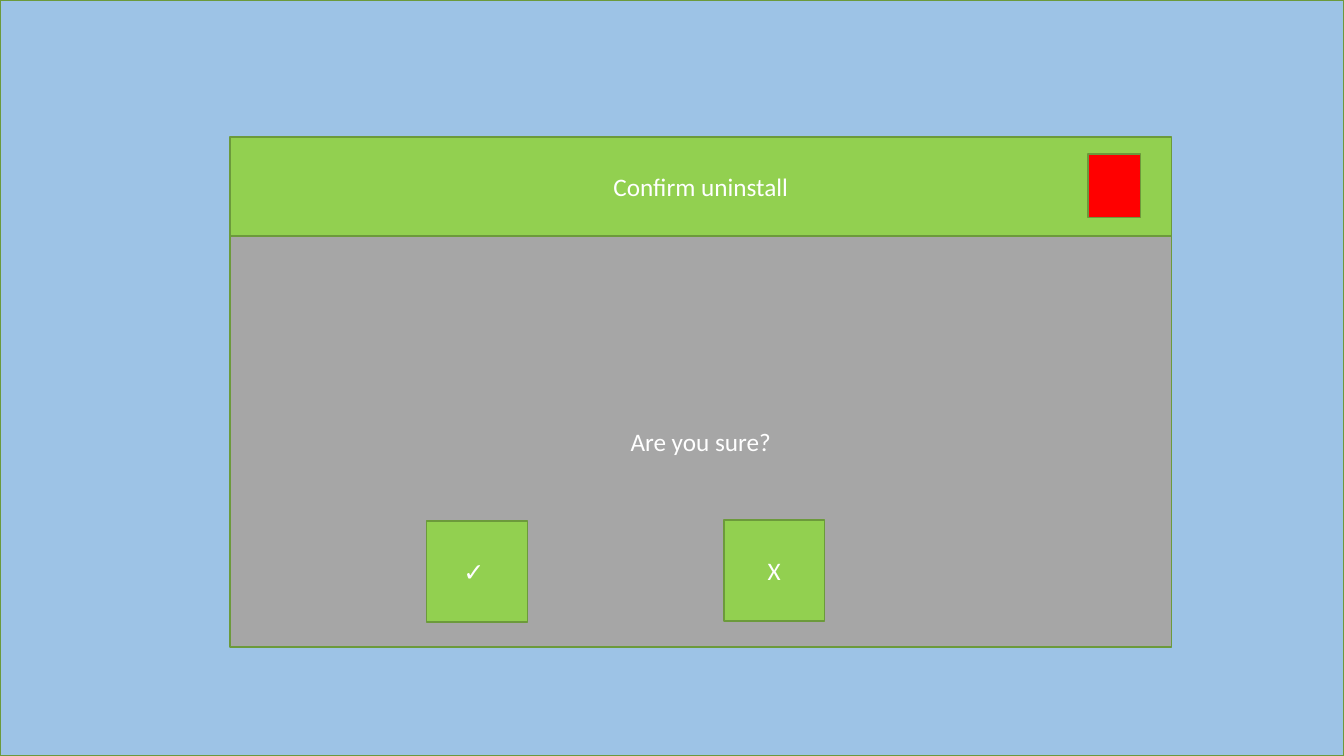
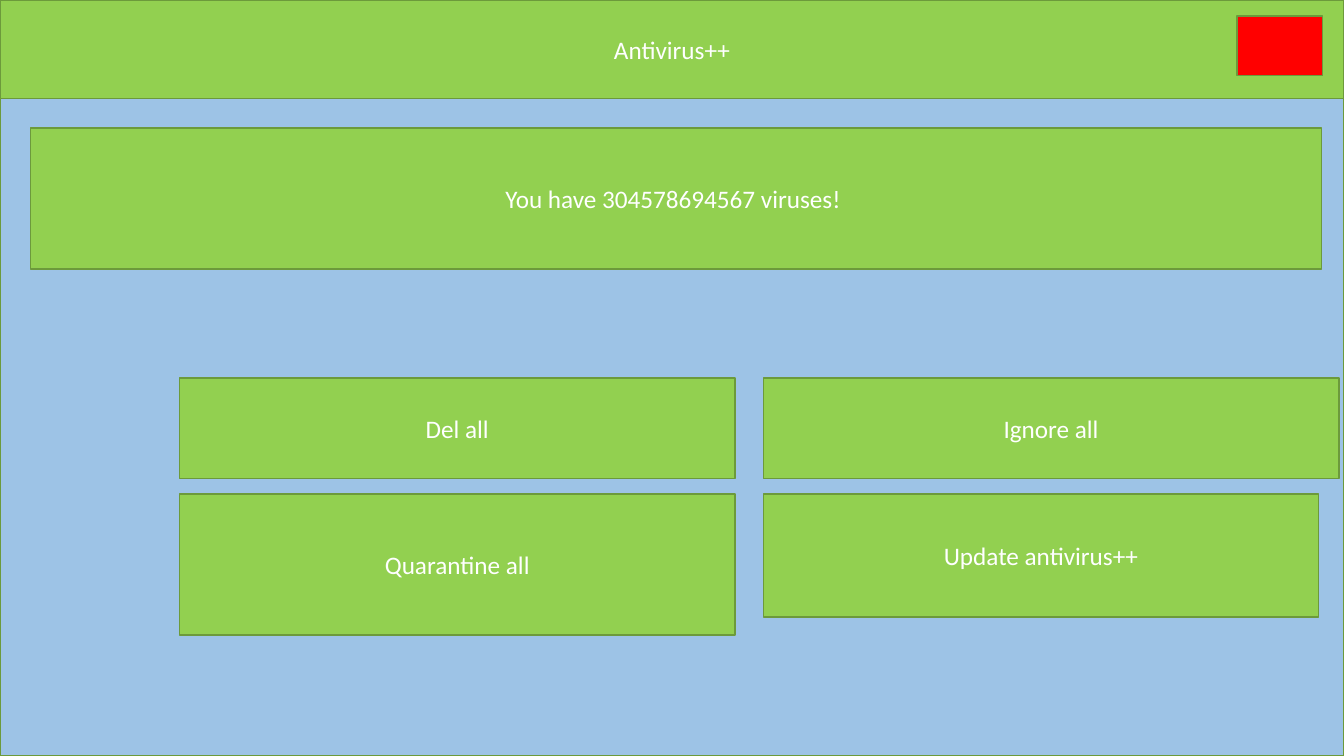
"""Build two mock-up screens of an antivirus program."""
from pptx import Presentation
from pptx.dml.color import RGBColor
from pptx.enum.shapes import MSO_SHAPE as Shape
from pptx.enum.text import MSO_ANCHOR as Anchor, PP_ALIGN as Align
from pptx.util import Inches, Pt

FONT, TEXT_SIZE = "Calibri", 18
WHITE, SKY, GRAY, GREEN, RED, EDGE = (
    "FFFFFF", "9DC3E6", "A6A6A6", "92D050", "FF0000", "6C9A3B")
PAGE_WIDTH, PAGE_HEIGHT = 13.33, 7.5
BAR_HEIGHT = 0.98

DIALOG = {
    "title": "Confirm uninstall", "question": "Are you sure?",
    "left": 2.28, "top": 1.36, "width": 9.34, "body_height": 4.08,
    "close": (10.79, 1.53, 0.52, 0.63),
}
ANSWERS = [("✓ ", 4.23, 5.17), ("X", 7.18, 5.16)]
ANSWER_SIZE = 1

MAIN_TITLE = "Antivirus++"
MAIN_CLOSE = (12.27, 0.16, 0.85, 0.59)
ALERT = ("You have 304578694567 viruses! ", (0.3, 1.27, 12.81, 1.4))
COLUMN_LEFTS, ROW_TOPS = (1.78, 7.57), (3.75, 4.9)
ACTIONS = [
    [("Del all", 5.51, 1), ("Ignore all", 5.71, 1)],
    [("Quarantine all", 5.51, 1.4), ("Update antivirus++", 5.51, 1.22)],
]


def color(value):
    return RGBColor.from_string(value)


def add_box(page, place, fill=GREEN, text=""):
    box = page.shapes.add_shape(Shape.RECTANGLE, *map(Inches, place))
    box.shadow.inherit = False
    box.fill.solid()
    box.fill.fore_color.rgb = color(fill)
    box.line.color.rgb = color(EDGE)
    box.line.width = Pt(1)
    if text:
        frame = box.text_frame
        frame.word_wrap = True
        frame.vertical_anchor = Anchor.MIDDLE
        frame.text = text
        para = frame.paragraphs[0]
        para.alignment = Align.CENTER
        font = para.runs[0].font
        font.name, font.size = FONT, Pt(TEXT_SIZE)
        font.color.rgb = color(WHITE)


def add_page(deck):
    page = deck.slides.add_slide(deck.slide_layouts[6])
    add_box(page, (0, 0, PAGE_WIDTH, PAGE_HEIGHT), SKY)
    return page


def add_title_bar(page, title, left, top, width, close):
    add_box(page, (left, top, width, BAR_HEIGHT), text=title)
    add_box(page, close, RED)


def build_dialog(deck):
    page = add_page(deck)
    left, top, width = DIALOG["left"], DIALOG["top"], DIALOG["width"]
    body = (left, top + BAR_HEIGHT, width, DIALOG["body_height"])
    add_box(page, body, GRAY, DIALOG["question"])
    add_title_bar(page, DIALOG["title"], left, top, width, DIALOG["close"])
    for text, answer_left, answer_top in ANSWERS:
        add_box(page, (answer_left, answer_top, ANSWER_SIZE, ANSWER_SIZE), text=text)


def build_main_screen(deck):
    page = add_page(deck)
    add_title_bar(page, MAIN_TITLE, 0, 0, PAGE_WIDTH, MAIN_CLOSE)
    alert_text, alert_place = ALERT
    add_box(page, alert_place, text=alert_text)
    for top, row in zip(ROW_TOPS, ACTIONS):
        for left, (text, width, height) in zip(COLUMN_LEFTS, row):
            add_box(page, (left, top, width, height), text=text)


def main():
    deck = Presentation()
    deck.slide_width, deck.slide_height = Inches(PAGE_WIDTH), Inches(PAGE_HEIGHT)
    build_dialog(deck)
    build_main_screen(deck)
    deck.save("out.pptx")


if __name__ == "__main__":
    main()
